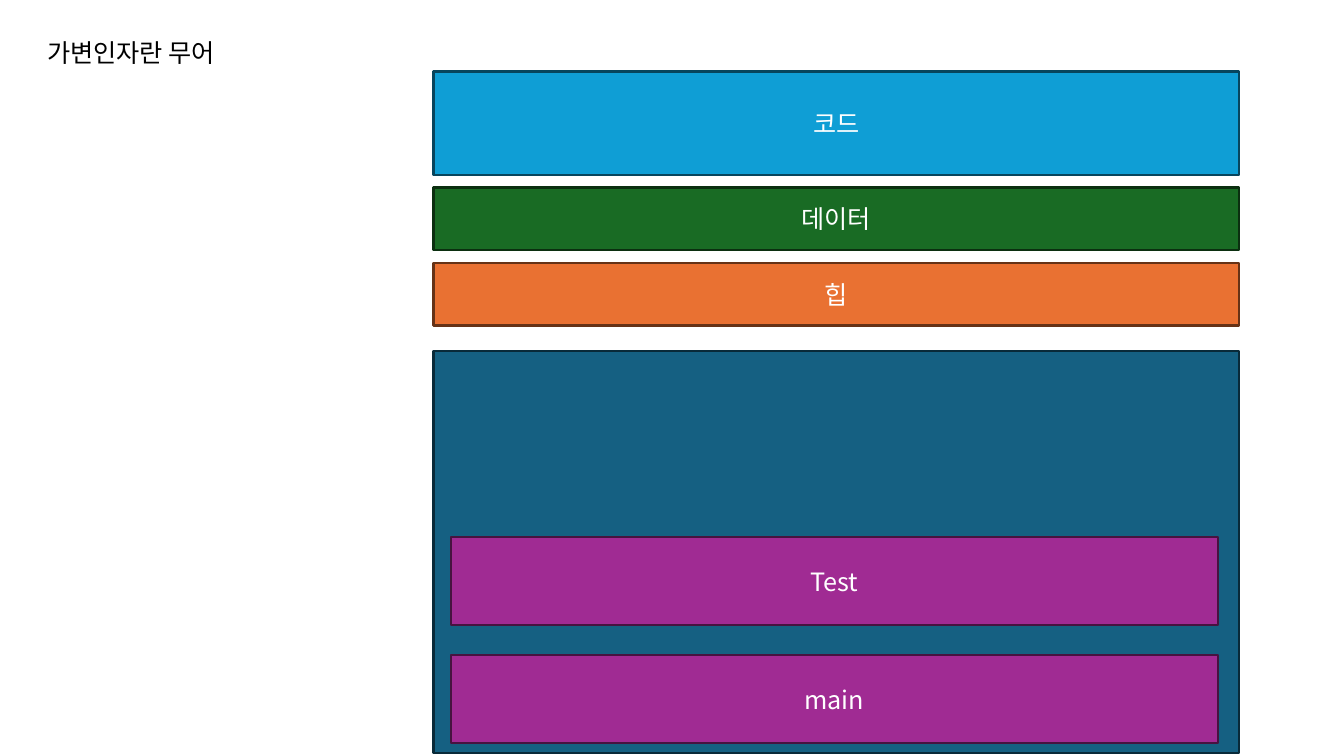
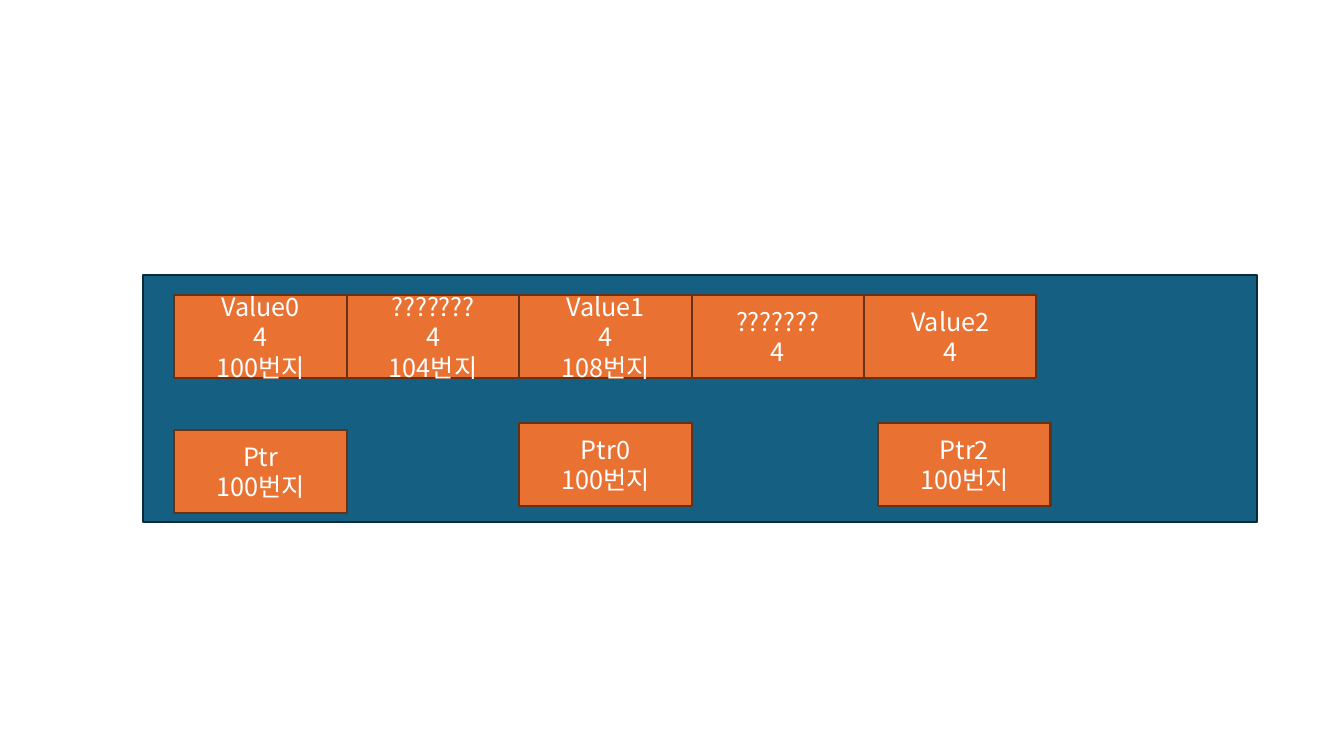
from lxml.etree import SubElement
from pptx import Presentation
from pptx.dml.color import RGBColor
from pptx.enum.shapes import MSO_SHAPE
from pptx.enum.text import MSO_ANCHOR, MSO_AUTO_SIZE, PP_ALIGN
from pptx.oxml.ns import qn
from pptx.util import Inches, Pt

FONT = "Noto Sans CJK KR"
WHITE, BLACK = "FFFFFF", "000000"
# Fill and line of each kind of block
TEAL = ("156082", "092A39")
BLUE = ("0F9ED5", "07455D")
GREEN = ("196B24", "0B2F10")
ORANGE = ("E97132", "663216")
PURPLE = ("A02B93", "461340")


def color(code):
    return RGBColor.from_string(code)


def assign(item, values):
    for name, value in values.items():
        setattr(item, name, value)


class Deck:
    font = {"name": FONT, "size": Pt(18)}
    block = {"word_wrap": True, "vertical_anchor": MSO_ANCHOR.MIDDLE}
    label = {"word_wrap": False, "auto_size": MSO_AUTO_SIZE.SHAPE_TO_FIT_TEXT}

    def __init__(self):
        self.show = Presentation()
        assign(self.show, {"slide_width": Inches(13.33),
                           "slide_height": Inches(7.5)})
        self.slide = None

    def page(self):
        self.slide = self.show.slides.add_slide(self.show.slide_layouts[6])

    def put_lines(self, frame, lines, ink, align):
        for i, line in enumerate(lines):
            para = frame.add_paragraph() if i else frame.paragraphs[0]
            para.alignment = align
            run = para.add_run()
            run.text = line
            run.font.color.rgb = color(ink)
            assign(run.font, self.font)
            # Hangul takes the East Asian typeface
            SubElement(run.font._element, qn("a:ea"), typeface=FONT)

    def box(self, left, top, width, height, style, *lines):
        shape = self.slide.shapes.add_shape(
            MSO_SHAPE.RECTANGLE, *map(Inches, (left, top, width, height)))
        fill, line = style
        shape.shadow.inherit = False
        shape.fill.solid()
        shape.fill.fore_color.rgb = color(fill)
        shape.line.color.rgb = color(line)
        shape.line.width = Pt(1.5)
        assign(shape.text_frame, self.block)
        self.put_lines(shape.text_frame, lines, WHITE, PP_ALIGN.CENTER)

    def text(self, left, top, width, height, *lines):
        shape = self.slide.shapes.add_textbox(
            *map(Inches, (left, top, width, height)))
        assign(shape.text_frame, self.label)
        self.put_lines(shape.text_frame, lines, BLACK, PP_ALIGN.LEFT)


def memory(deck):
    """Regions of memory, with the call frames on the stack."""
    deck.page()
    for top, height, style, *lines in (
            (3.48, 3.99, TEAL),
            (0.71, 1.03, BLUE, "코드"),
            (1.86, 0.62, GREEN, "데이터"),
            (2.61, 0.62, ORANGE, "힙")):
        deck.box(4.3, top, 7.99, height, style, *lines)
    for i, name in enumerate(("main", "Test")):
        deck.box(4.47, 6.5 - 1.17 * i, 7.61, 0.87, PURPLE, name)
    deck.text(0.37, 0.32, 2.06, 0.4, "가변인자란 무어")


def values(deck):
    """Arguments side by side, with the pointers below."""
    deck.page()
    deck.box(1.42, 2.73, 11.05, 2.45, TEAL)
    left, wide, high = 1.73, 1.71, 0.82
    cells = (("Value0", "4", "100번지"), ("???????", "4", "104번지"),
             ("Value1", "4", "108번지"), ("???????", "4"), ("Value2", "4"))
    for i, lines in enumerate(cells):
        deck.box(left + wide * i, 2.93, wide, high, ORANGE, *lines)
    for x, top, name in ((left, 4.27, "Ptr"), (left + 2 * wide, 4.2, "Ptr0"),
                         (8.71, 4.2, "Ptr2")):
        deck.box(x, top, wide, high, ORANGE, name, "100번지")


def main():
    deck = Deck()
    memory(deck)
    values(deck)
    deck.show.save("out.pptx")


if __name__ == "__main__":
    main()
